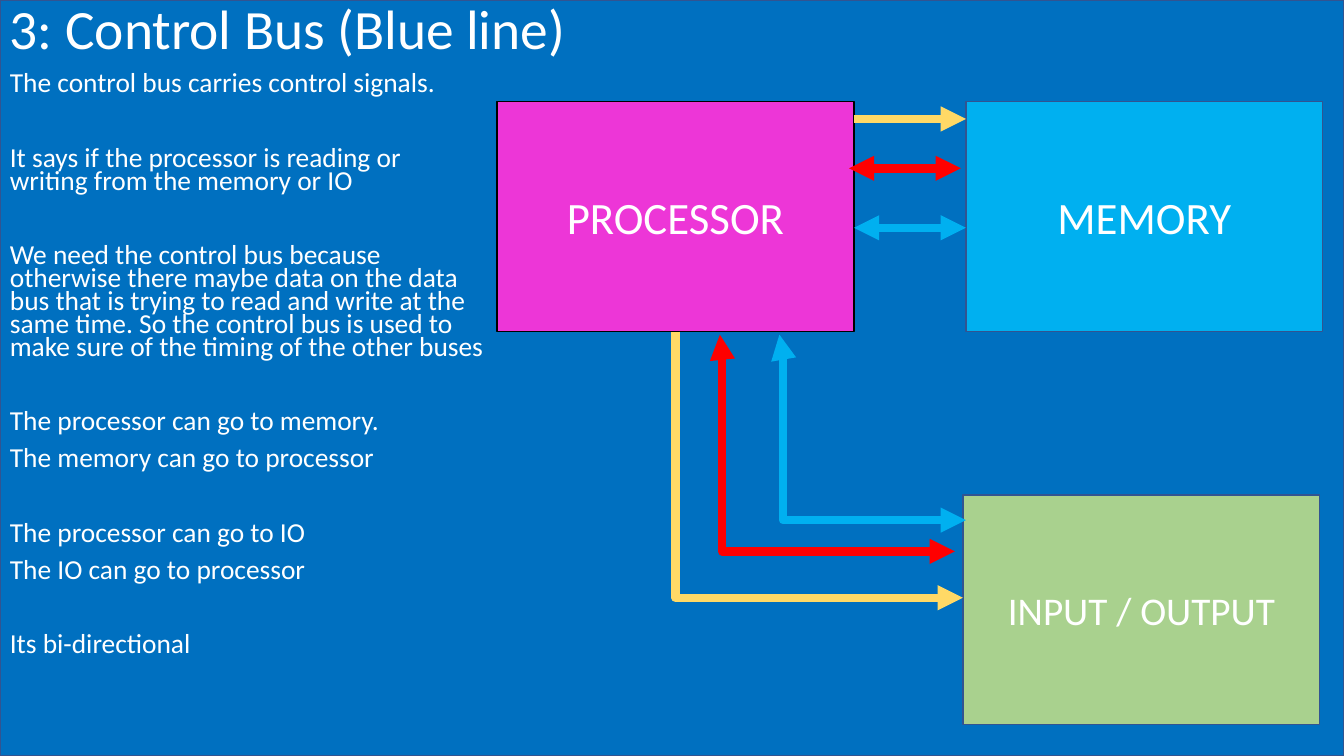
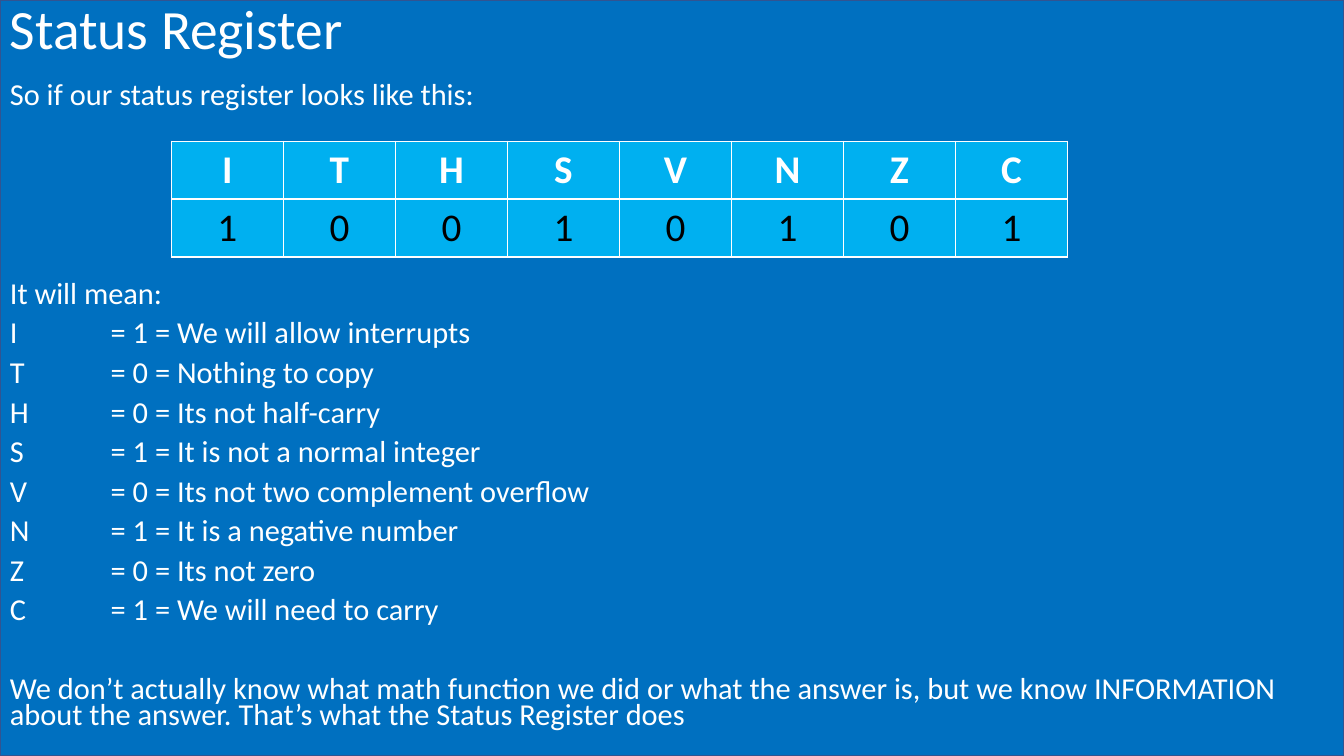
"""Build two slides on the control bus and the status register."""
from dataclasses import dataclass

from pptx import Presentation
from pptx.dml.color import RGBColor
from pptx.enum.shapes import MSO_CONNECTOR, MSO_SHAPE
from pptx.enum.text import MSO_ANCHOR, PP_ALIGN
from pptx.oxml.ns import qn
from pptx.util import Inches, Pt
from lxml.etree import SubElement


@dataclass(frozen=True)
class Theme:
    font: str = "Calibri"
    background: str = "0070C0"
    outline: str = "325491"
    white: str = "FFFFFF"
    black: str = "000000"
    pink: str = "ED36D7"
    sky: str = "00B0F0"
    green: str = "A9D18E"
    yellow: str = "FFD966"
    red: str = "FF0000"
    title_size: float = 39.6
    bus_body_size: float = 19.6
    register_body_size: float = 21.7
    box_size: float = 32
    small_box_size: float = 28
    table_size: float = 28
    title_spacing: float = 0.9
    body_spacing: float = 0.7
    line_height: float = 1.21
    paragraph_gap: float = 10
    bus_width: float = 6


THEME = Theme()
WIDTH, HEIGHT = 13.33, 7.5
TITLE_HEIGHT = 0.63
BOX_WIDTH, BOX_HEIGHT = 3.54, 2.28
TAB_STOP = 1.0

BUS_TITLE = "3: Control Bus (Blue line)"
BUS_TEXT = [
    (0, "The control bus carries control signals."),
    (1, "It says if the processor is reading or writing from the memory or IO"),
    (1, "We need the control bus because otherwise there maybe data on the data bus "
        "that is trying to read and write at the same time. So the control bus is used "
        "to make sure of the timing of the other buses"),
    (1, "The processor can go to memory."),
    (0, "The memory can go to processor"),
    (1, "The processor can go to IO"),
    (0, "The IO can go to processor"),
    (1, "Its bi-directional"),
]
BOXES = [
    ("PROCESSOR", 4.93, 1.01, THEME.pink, THEME.black, THEME.box_size),
    ("MEMORY", 9.58, 1.01, THEME.sky, THEME.outline, THEME.box_size),
    ("INPUT / OUTPUT", 9.55, 4.91, THEME.green, THEME.outline, THEME.small_box_size),
]
BUSES = [
    {"colour": THEME.yellow, "both_ways": False, "bend": 0,
     "memory": ((8.47, 1.18), (9.58, 1.18)), "io": ((6.7, 3.29), (9.55, 5.93))},
    {"colour": THEME.red, "both_ways": True, "bend": 0.01,
     "memory": ((8.42, 1.67), (9.53, 1.67)), "io": ((7.14, 3.32), (9.47, 5.47))},
    {"colour": THEME.sky, "both_ways": True, "bend": 0.02,
     "memory": ((8.47, 2.26), (9.58, 2.26)), "io": ((7.73, 3.32), (9.58, 5.16))},
]

REGISTER_TITLE = "Status Register"
FLAGS = [
    ("I", 1, "We will allow interrupts"),
    ("T", 0, "Nothing to copy"),
    ("H", 0, "Its not half-carry"),
    ("S", 1, "It is not a normal integer"),
    ("V", 0, "Its not two complement overflow"),
    ("N", 1, "It is a negative number"),
    ("Z", 0, "Its not zero"),
    ("C", 1, "We will need to carry"),
]
REGISTER_TEXT = [
    (0, "So if our status register looks like this:"),
    (4, "It will mean:"),
    *[(0, f"{flag}\t= {bit} = {meaning}") for flag, bit, meaning in FLAGS],
    (1, "We don’t actually know what math function we did or what the answer is, "
        "but we know INFORMATION about the answer. That’s what the Status Register does"),
]


def style_font(paragraph, size, colour=THEME.white, bold=False):
    paragraph.font.name = THEME.font
    paragraph.font.size = Pt(size)
    paragraph.font.bold = bold
    paragraph.font.color.rgb = RGBColor.from_string(colour)


def add_rectangle(slide, left, top, width, height, fill, line):
    shape = slide.shapes.add_shape(
        MSO_SHAPE.RECTANGLE, Inches(left), Inches(top), Inches(width), Inches(height))
    shape.shadow.inherit = False
    shape.fill.solid()
    shape.fill.fore_color.rgb = RGBColor.from_string(fill)
    shape.line.color.rgb = RGBColor.from_string(line)
    shape.line.width = Pt(1)
    return shape


def add_text_frame(slide, left, top, width, height):
    text_box = slide.shapes.add_textbox(
        Inches(left), Inches(top), Inches(width), Inches(height))
    text_box.text_frame.word_wrap = True
    return text_box.text_frame


def add_titled_slide(presentation, title):
    slide = presentation.slides.add_slide(presentation.slide_layouts[6])
    add_rectangle(slide, 0, 0, WIDTH, HEIGHT, THEME.background, THEME.outline)
    frame = add_text_frame(slide, 0, 0, WIDTH, TITLE_HEIGHT)
    frame.vertical_anchor = MSO_ANCHOR.MIDDLE
    paragraph = frame.paragraphs[0]
    paragraph.text = title
    paragraph.line_spacing = THEME.title_spacing
    style_font(paragraph, THEME.title_size)
    return slide


def add_tab_stop(paragraph):
    tab_list = SubElement(paragraph._p.get_or_add_pPr(), qn("a:tabLst"))
    SubElement(tab_list, qn("a:tab"), pos=str(Inches(TAB_STOP)), algn="l")


def add_body(slide, lines, top, width, size):
    frame = add_text_frame(slide, 0, top, width, HEIGHT - top)
    row = size * THEME.line_height * THEME.body_spacing + THEME.paragraph_gap
    for index, (skipped_rows, text) in enumerate(lines):
        paragraph = frame.add_paragraph() if index else frame.paragraphs[0]
        paragraph.text = text
        if "\t" in text:
            add_tab_stop(paragraph)
        paragraph.line_spacing = THEME.body_spacing
        paragraph.space_before = Pt(THEME.paragraph_gap + skipped_rows * row if index else 0)
        style_font(paragraph, size)


def add_box(slide, label, left, top, fill, line, size):
    shape = add_rectangle(slide, left, top, BOX_WIDTH, BOX_HEIGHT, fill, line)
    shape.text_frame.vertical_anchor = MSO_ANCHOR.MIDDLE
    paragraph = shape.text_frame.paragraphs[0]
    paragraph.text = label
    paragraph.alignment = PP_ALIGN.CENTER
    style_font(paragraph, size)


def add_bus_arrow(slide, kind, ends, colour, both_ways):
    start, end = ends
    connector = slide.shapes.add_connector(
        kind, *[Inches(value) for value in (*start, *end)])
    connector.line.color.rgb = RGBColor.from_string(colour)
    connector.line.width = Pt(THEME.bus_width)
    line = connector.line._get_or_add_ln()
    for tag in ("a:headEnd", "a:tailEnd") if both_ways else ("a:tailEnd",):
        SubElement(line, qn(tag), type="triangle")
    SubElement(connector._element.spPr, qn("a:effectLst"))
    return connector


def set_bend(connector, share):
    guides = connector._element.spPr.find(qn("a:prstGeom")).get_or_add_avLst()
    SubElement(guides, qn("a:gd"), name="adj1", fmla=f"val {round(share * 100000)}")


def add_register_table(slide, left, top, width, height):
    rows = [[flag for flag, _, _ in FLAGS], [str(bit) for _, bit, _ in FLAGS]]
    table = slide.shapes.add_table(
        len(rows), len(FLAGS), Inches(left), Inches(top), Inches(width), Inches(height)).table
    table.horz_banding = False
    for row_index, values in enumerate(rows):
        for column_index, value in enumerate(values):
            cell = table.cell(row_index, column_index)
            cell.fill.solid()
            cell.fill.fore_color.rgb = RGBColor.from_string(THEME.sky)
            paragraph = cell.text_frame.paragraphs[0]
            paragraph.text = value
            paragraph.alignment = PP_ALIGN.CENTER
            is_header = row_index == 0
            style_font(paragraph, THEME.table_size,
                       THEME.white if is_header else THEME.black, is_header)


def build_bus_slide(presentation):
    slide = add_titled_slide(presentation, BUS_TITLE)
    add_body(slide, BUS_TEXT, 0.69, 4.9, THEME.bus_body_size)
    for box in BOXES:
        add_box(slide, *box)
    for bus in BUSES:
        look = bus["colour"], bus["both_ways"]
        add_bus_arrow(slide, MSO_CONNECTOR.STRAIGHT, bus["memory"], *look)
        elbow = add_bus_arrow(slide, MSO_CONNECTOR.ELBOW, bus["io"], *look)
        set_bend(elbow, bus["bend"])


def build_register_slide(presentation):
    slide = add_titled_slide(presentation, REGISTER_TITLE)
    add_body(slide, REGISTER_TEXT, 0.8, WIDTH, THEME.register_body_size)
    add_register_table(slide, 1.7, 1.4, 8.89, 1.15)


def main():
    presentation = Presentation()
    presentation.slide_width = Inches(WIDTH)
    presentation.slide_height = Inches(HEIGHT)
    build_bus_slide(presentation)
    build_register_slide(presentation)
    presentation.save("out.pptx")


if __name__ == "__main__":
    main()
